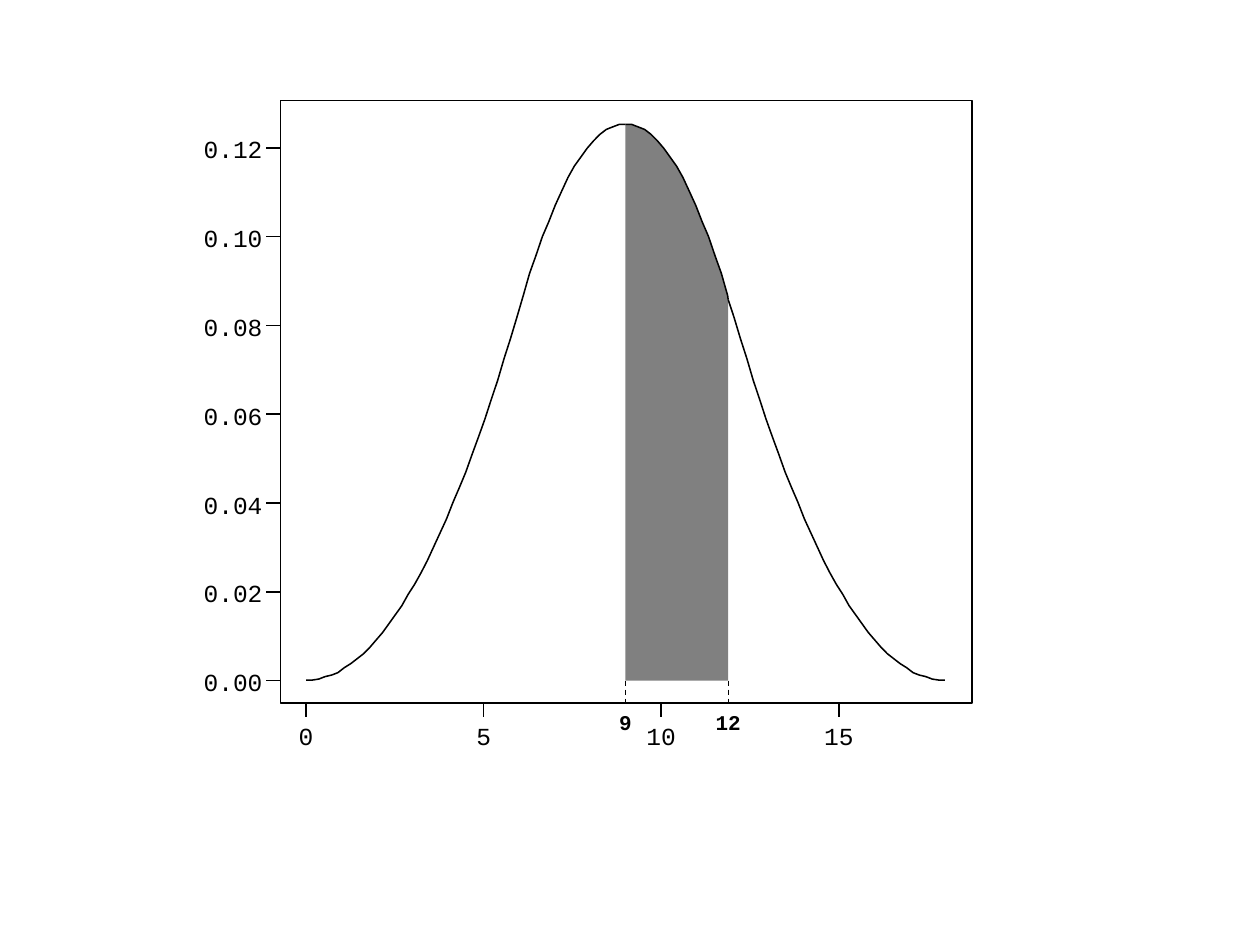
import pptx
import pptx.util
import pptx.dml.color
import pptx.enum.dml
import pptx.enum.shapes
import pptx.enum.text
import pptx.oxml.ns
import lxml.etree

Cm = pptx.util.Cm
Pt = pptx.util.Pt
BLACK = pptx.dml.color.RGBColor(0x00, 0x00, 0x00)
GREY = pptx.dml.color.RGBColor(0x80, 0x80, 0x80)
DASH = pptx.enum.dml.MSO_LINE.DASH
MAIN = {"name": "Courier New", "size": Pt(14), "bold": False}
MARK = {"name": "Courier New", "size": Pt(12), "bold": True}

left, top, width, height = 5.66, 2.03, 13.94, 12.14
floor = top + height
base, peak = 13.72, 2.51
zero, mid, limit = 6.17, 12.61, 14.68
drops = [
    0, 0, 0.05, 0.1, 0.2, 0.33, 0.48, 0.66, 0.84, 1.07, 1.35, 1.63, 1.96,
    2.26, 2.64, 3, 3.45, 3.89, 4.32, 4.72, 5.16, 5.54, 5.94, 6.3, 6.65, 7.01,
    7.32, 7.62, 7.95, 8.23, 8.51, 8.79, 9.04, 9.27, 9.47, 9.7, 9.88, 10.06,
    10.24, 10.39, 10.54, 10.67, 10.77, 10.87, 10.95, 11.05, 11.1, 11.13,
    11.18, 11.2, 11.2,
]

deck = pptx.Presentation()
deck.slide_width, deck.slide_height = Cm(25.4), Cm(19.05)
slide = deck.slides.add_slide(deck.slide_layouts[6])
shapes = slide.shapes


def rule(x1, y1, x2, y2, style):
    link = shapes.add_connector(
        pptx.enum.shapes.MSO_CONNECTOR.STRAIGHT, Cm(x1), Cm(y1), Cm(x2), Cm(y2))
    link.line.color.rgb = BLACK
    for key, value in style.items():
        setattr(link.line, key, value)
    lxml.etree.SubElement(
        link._element.spPr, pptx.oxml.ns.qn("a:effectLst"))


def label(text, x, y, wide, high, style):
    box = shapes.add_textbox(Cm(x), Cm(y), Cm(wide), Cm(high))
    frame = box.text_frame
    zeros = dict.fromkeys(
        ["margin_left", "margin_top", "margin_right", "margin_bottom"], 0)
    for key, value in {**zeros, "word_wrap": False}.items():
        setattr(frame, key, value)
    para = frame.paragraphs[0]
    para.text = text
    para.alignment = pptx.enum.text.PP_ALIGN.CENTER
    para.font.color.rgb = BLACK
    for key, value in style.items():
        setattr(para.font, key, value)


step = (mid - zero) / (len(drops) - 1)
right = [(mid + i * step, peak + drop) for i, drop in enumerate(drops)]
rise = [(2 * mid - x, y) for x, y in reversed(right)]
edge = (limit, peak + 3.53)
cap = right[:17] + [edge]
tail = [edge] + right[17:]
area = cap + [(limit, base), (mid, base)]

for points, solid in [(area, True), (rise, False), (cap, False), (tail, False)]:
    dots = [(Cm(x), Cm(y)) for x, y in points]
    pen = shapes.build_freeform(*dots[0], scale=1.0)
    pen.add_line_segments(dots[1:], close=solid)
    form = pen.convert_to_shape()
    form.shadow.inherit = False
    if solid:
        form.fill.solid()
        form.fill.fore_color.rgb = GREY
        form.line.fill.background()
    else:
        form.fill.background()
        form.line.color.rgb = BLACK
        form.line.width = Pt(0.88)

plot = shapes.add_shape(
    pptx.enum.shapes.MSO_SHAPE.RECTANGLE, Cm(left), Cm(top), Cm(width), Cm(height))
plot.shadow.inherit = False
plot.fill.background()
plot.line.color.rgb = BLACK
plot.line.width = Pt(0.88)

for i in range(4):
    x = zero + 3.58 * i
    text = str(5 * i)
    wide = 0.32 * len(text)
    rule(x, floor, x, floor + 0.28, {"width": Pt(0.88)})
    label(text, x - wide / 2, 14.53, wide, 0.58, MAIN)

for i in range(7):
    y = base - 1.79 * i
    rule(left - 0.02, y, left - 0.3, y, {"width": Pt(0.88)})
    label(f"{0.02 * i:.2f}", 4.08, y - 0.27, 1.24, 0.58, MAIN)

for text, x in [("9", mid), ("12", limit)]:
    wide = 0.3 * len(text)
    rule(x, base, x, floor - 0.02, {"width": Pt(0.75), "dash_style": DASH})
    label(text, x - wide / 2, 14.31, wide, 0.51, MARK)

deck.save("out.pptx")
